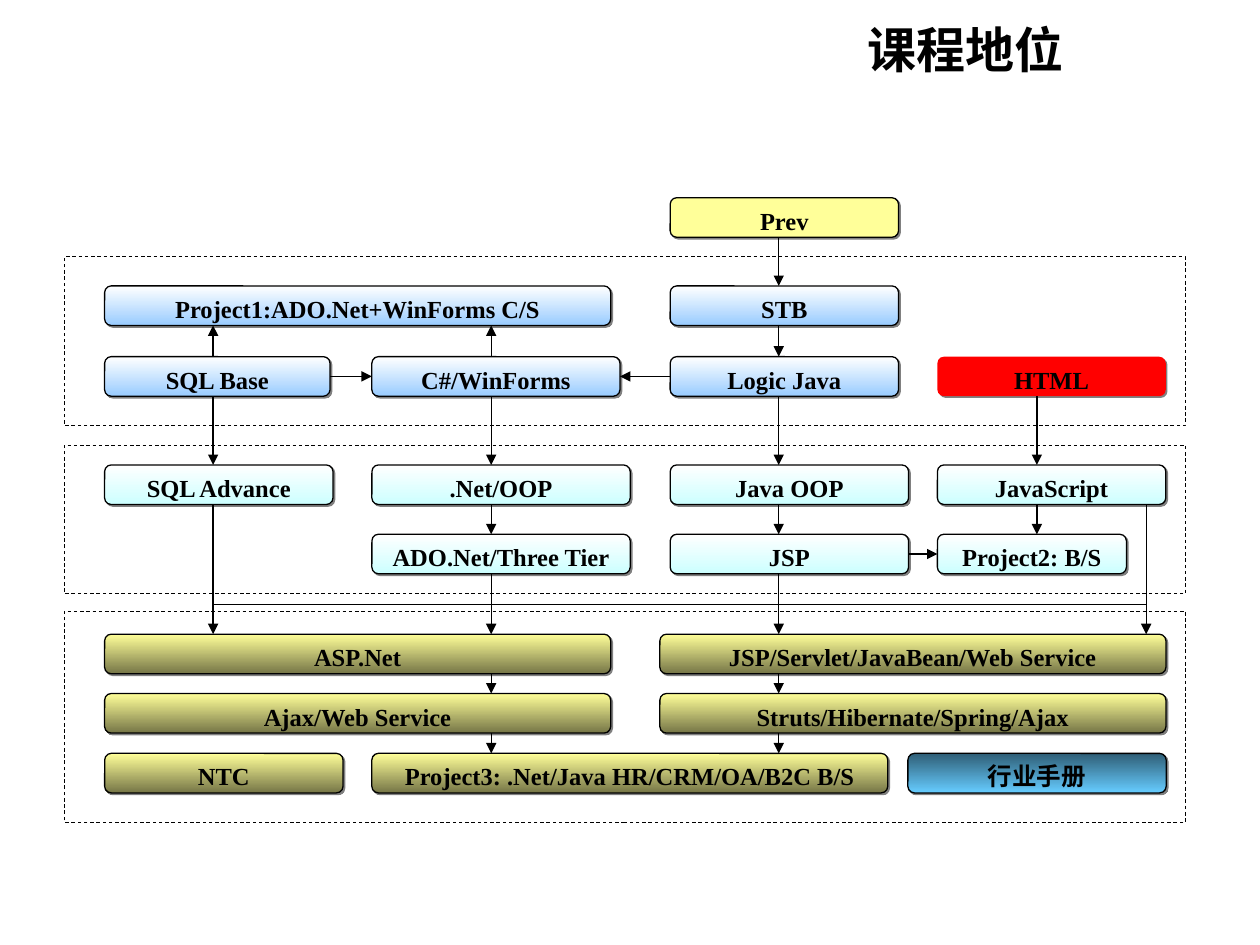
from pptx import Presentation
from pptx.dml.color import RGBColor as RGB
from pptx.enum.dml import MSO_LINE_DASH_STYLE as Dash
from pptx.enum.shapes import MSO_CONNECTOR as Connector, MSO_SHAPE as Shape
from pptx.enum.text import MSO_ANCHOR as Anchor, PP_ALIGN as Align
from pptx.oxml.ns import qn
from pptx.util import Pt
from lxml.etree import SubElement

COLORS = {"ink": "000000", "shadow": "808080", "white": "FFFFFF", "yellow": "FFFF99",
          "red": "FF0000", "blue": "99CCFF", "aqua": "CCFFFF", "olive": "767647",
          "navy": "2F5E76", "sky": "66CCFF"}

# Kind of course: fill colours from top to bottom
FILLS = {"prev": ["yellow"], "html": ["red"], "first": ["white", "blue"],
         "second": ["white", "aqua"], "third": ["yellow", "olive"],
         "handbook": ["navy", "sky"]}

# Row tops, box left edges and the vertical lines that arrows follow
ROWS = {"prev": 113, "start": 163.4, "base": 203.8, "oop": 265.7,
        "tier": 305.3, "web": 362.4, "frame": 396.3, "final": 430.5}
LEFT = {"sql": 59.8, "net": 212.5, "java": 383, "web": 535.7,
        "wide": 377.1, "handbook": 518.8}
TRACKS = {"sql": 121.8, "net": 280.7, "java": 445, "web": 592.5, "side": 655}
BOX_HEIGHT = 22.6

# Text, left edge, row, width, kind
COURSES = [
    ("Prev", "java", "prev", 130.5, "prev"),
    ("Project1:ADO.Net+WinForms C/S", "sql", "start", 289.2, "first"),
    ("STB", "java", "start", 130.5, "first"),
    ("SQL Base", "sql", "base", 128.8, "first"),
    ("C#/WinForms", "net", "base", 141.8, "first"),
    ("Logic Java", "java", "base", 130.5, "first"),
    ("HTML", "web", "base", 130.5, "html"),
    ("SQL Advance", "sql", "oop", 130.5, "second"),
    (".Net/OOP", "net", "oop", 147.6, "second"),
    ("Java OOP", "java", "oop", 136.2, "second"),
    ("JavaScript", "web", "oop", 130.5, "second"),
    ("ADO.Net/Three Tier", "net", "tier", 147.6, "second"),
    ("JSP", "java", "tier", 136.2, "second"),
    ("Project2: B/S", "web", "tier", 108, "second"),
    ("ASP.Net", "sql", "web", 289.2, "third"),
    ("JSP/Servlet/JavaBean/Web Service", "wide", "web", 289.2, "third"),
    ("Ajax/Web Service", "sql", "frame", 289.2, "third"),
    ("Struts/Hibernate/Spring/Ajax", "wide", "frame", 289.2, "third"),
    ("NTC", "sql", "final", 136.2, "third"),
    ("Project3: .Net/Java HR/CRM/OA/B2C B/S", "net", "final", 294.8, "third"),
    ("行业手册", "handbook", "final", 147.6, "handbook"),
]

# Vertical arrows: track, from row, to row
STEPS = [
    ("java", "prev", "start"), ("java", "start", "base"),
    ("sql", "base", "start"), ("net", "base", "start"),
    *((track, "base", "oop") for track in ("sql", "net", "java", "web")),
    *((track, "oop", "tier") for track in ("net", "java", "web")),
    ("sql", "oop", "web"), ("side", "oop", "web"),
    *((track, *rows) for track in ("net", "java")
      for rows in (("tier", "web"), ("web", "frame"), ("frame", "final"))),
]

# Sideways arrows: from course, its side, to course, its side (1 left, 3 right)
LINKS = [("SQL Base", 3, "C#/WinForms", 1), ("Logic Java", 1, "C#/WinForms", 3),
         ("JSP", 3, "Project2: B/S", 1)]

STAGES = [(146.7, 96.6), (254.3, 85), (349.2, 120.7)]  # top, height
STAGE_LEFT, STAGE_WIDTH = 36.8, 640.7
CROSS_Y = 345.5


def color(name):
    return RGB.from_string(COLORS[name])


def write(shape, text, size, font, align):
    para = shape.text_frame.paragraphs[0]
    para.text = text
    para.alignment = align
    span = para.runs[0].font
    span.size, span.name, span.bold = Pt(size), font, True
    span.color.rgb = color("ink")


def add_shadow(shape):
    shape.shadow.inherit = False
    effects = shape._element.spPr.find(qn("a:effectLst"))
    shadow = SubElement(effects, qn("a:outerShdw"), dist=str(Pt(1.4)),
                        dir=str(45 * 60000), algn="ctr", rotWithShape="0")
    SubElement(shadow, qn("a:srgbClr"), val=COLORS["shadow"])


def add_course(page, text, left, row, width, kind):
    box = page.shapes.add_shape(Shape.ROUNDED_RECTANGLE, Pt(LEFT[left]), Pt(ROWS[row]),
                                Pt(width), Pt(BOX_HEIGHT))
    names = FILLS[kind]
    if len(names) == 1:
        box.fill.solid()
        box.fill.fore_color.rgb = color(names[0])
    else:
        box.fill.gradient()
        box.fill.gradient_angle = 270
        for stop, name in zip(box.fill.gradient_stops, names):
            stop.color.rgb = color(name)
    if kind == "html":
        box.line.fill.background()
    else:
        box.line.color.rgb = color("ink")
        box.line.width = Pt(0.75)
    add_shadow(box)
    box.text_frame.word_wrap = True
    box.text_frame.vertical_anchor = Anchor.TOP
    write(box, text, 14, "Times New Roman", Align.CENTER)
    return box


def add_line(page, x1, y1, x2, y2, arrow=True):
    line = page.shapes.add_connector(Connector.STRAIGHT, Pt(x1), Pt(y1), Pt(x2), Pt(y2))
    line.line.color.rgb = color("ink")
    line.line.width = Pt(0.75)
    props = line._element.spPr
    if arrow:
        SubElement(props.find(qn("a:ln")), qn("a:tailEnd"), type="triangle")
    SubElement(props, qn("a:effectLst"))
    return line


def main():
    deck = Presentation()
    deck.slide_width, deck.slide_height = Pt(720), Pt(540)
    page = deck.slides.add_slide(deck.slide_layouts[6])

    # Title
    title = page.shapes.add_textbox(Pt(-14.4), Pt(-15.8), Pt(629.3), Pt(87))
    title.text_frame.word_wrap = True
    title.text_frame.vertical_anchor = Anchor.MIDDLE
    write(title, "课程地位", 28, "Arial", Align.RIGHT)

    # Dashed stage frames
    for top, height in STAGES:
        stage = page.shapes.add_shape(Shape.RECTANGLE, Pt(STAGE_LEFT), Pt(top),
                                      Pt(STAGE_WIDTH), Pt(height))
        stage.shadow.inherit = False
        stage.fill.background()
        stage.line.color.rgb = color("ink")
        stage.line.width = Pt(0.5)
        stage.line.dash_style = Dash.DASH

    # Course boxes
    boxes = {course[0]: add_course(page, *course) for course in COURSES}

    # Vertical arrows, downwards or upwards
    for track, start, end in STEPS:
        x, y1, y2 = TRACKS[track], ROWS[start], ROWS[end]
        if y1 < y2:
            y1 += BOX_HEIGHT
        else:
            y2 += BOX_HEIGHT
        add_line(page, x, y1, x, y2)

    # Sideways arrows joined to their boxes
    for start, start_side, end, end_side in LINKS:
        link = add_line(page, 0, 0, 0, 0)
        link.begin_connect(boxes[start], start_side)
        link.end_connect(boxes[end], end_side)

    # Cross line that ties the second stage to the third
    add_line(page, TRACKS["sql"], CROSS_Y, TRACKS["side"], CROSS_Y, arrow=False)

    deck.save("out.pptx")


if __name__ == "__main__":
    main()
